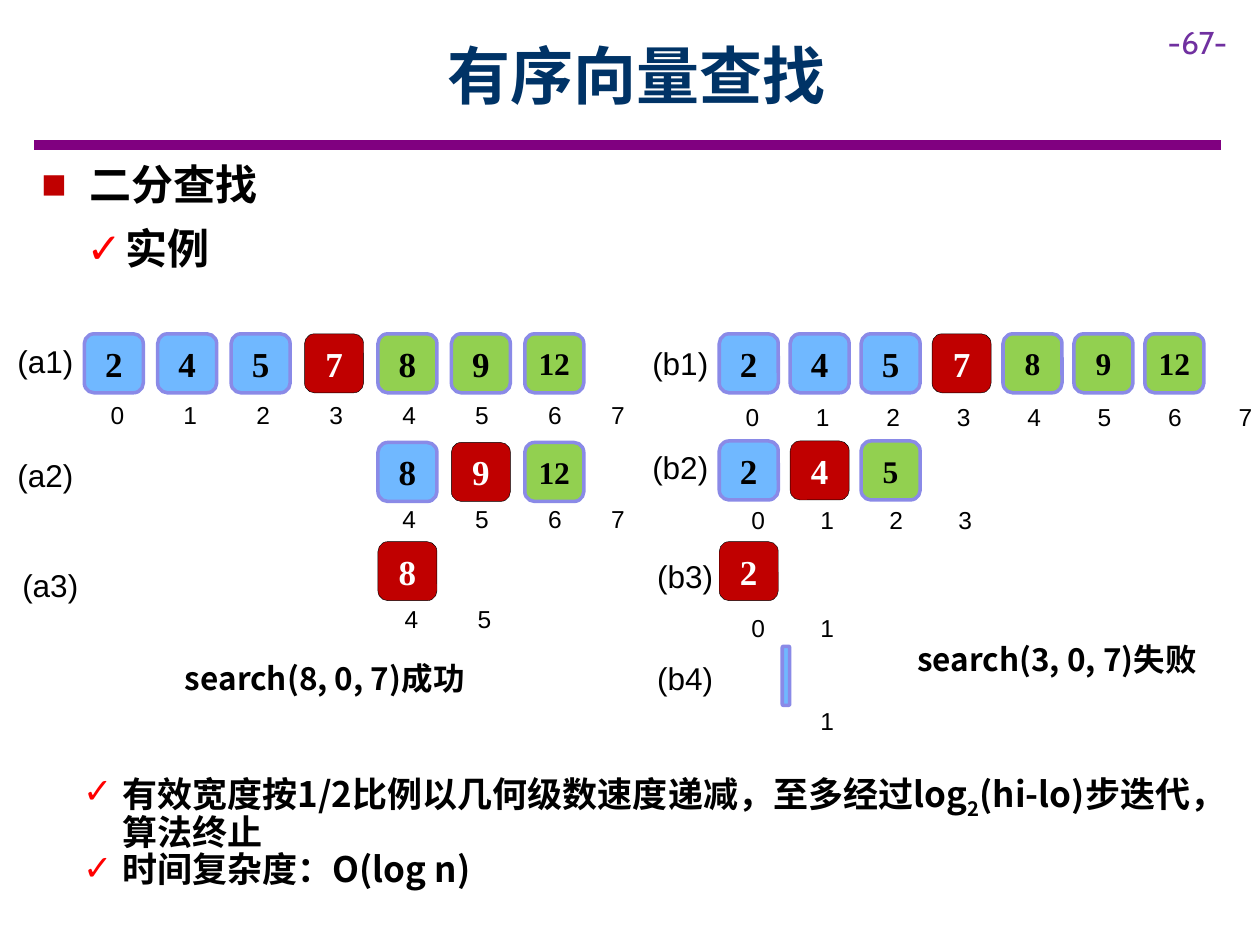
import pptx
import pptx.dml.color
import pptx.enum.shapes
import pptx.enum.text
import pptx.oxml.ns
import pptx.util
from lxml import etree
from pptx.util import Cm

CJK, SERIF, SANS = "Noto Sans CJK SC", "Times New Roman", "Arial"
BLACK, WHITE, RED, BLUE, GREEN = "000000", "FFFFFF", "C00000", "70B8FF", "92D050"
EDGE, TICK = "8A8AE7", "FF0000"
CELL = 1.19
TOP, MIDDLE = pptx.enum.text.MSO_ANCHOR.TOP, pptx.enum.text.MSO_ANCHOR.MIDDLE
CENTER = pptx.enum.text.PP_ALIGN.CENTER


def colour(value):
    """Turn a hex string into a colour."""
    return pptx.dml.color.RGBColor.from_string(value)


def place(shape, box):
    """Move a shape to a (left, top, width, height) box in centimetres."""
    shape.left, shape.top, shape.width, shape.height = (Cm(length) for length in box)


def style(para, font, size, tint, bold=False):
    """Format every run of a paragraph."""
    for span in para.runs:
        span.font.name, span.font.size = font, pptx.util.Pt(size)
        span.font.bold, span.font.color.rgb = bold, colour(tint)
        east = etree.SubElement(span.font._element, pptx.oxml.ns.qn("a:ea"))
        east.set("typeface", font)
        span.font._element.find(pptx.oxml.ns.qn("a:latin")).addnext(east)


def add_text(page, box, text, font, size, tint=BLACK, bold=False):
    """Add a one-paragraph text box."""
    frame = page.shapes.add_textbox(*(Cm(length) for length in box)).text_frame
    frame.word_wrap = True
    frame.text = text
    style(frame.paragraphs[0], font, size, tint, bold)
    return frame


def add_block(page, box, fill, edge=EDGE, weight=2):
    """Add a rounded block."""
    block = page.shapes.add_shape(
        pptx.enum.shapes.MSO_SHAPE.ROUNDED_RECTANGLE, *(Cm(length) for length in box))
    block.shadow.inherit = False
    block.fill.solid()
    block.fill.fore_color.rgb = colour(fill)
    block.line.color.rgb = colour(edge)
    block.line.width = pptx.util.Pt(weight)
    return block


def set_bullet(para, mark, tint, margin, hang):
    """Give a paragraph a coloured bullet and a hanging indent."""
    props = para._p.get_or_add_pPr()
    props.set("marL", str(Cm(margin)))
    props.set("indent", str(-Cm(hang)))
    shade = etree.SubElement(props, pptx.oxml.ns.qn("a:buClr"))
    etree.SubElement(shade, pptx.oxml.ns.qn("a:srgbClr")).set("val", tint)
    etree.SubElement(props, pptx.oxml.ns.qn("a:buFont")).set("typeface", SANS)
    etree.SubElement(props, pptx.oxml.ns.qn("a:buChar")).set("char", mark)


def fill_header(page, box):
    """Place the title, the page number and the rule under them."""
    left, top, width, height = box
    title = page.shapes.title
    place(title, (left + 1.6, top, 21.1, 2.54))
    title.text_frame.text = "有序向量查找"
    title.text_frame.vertical_anchor = MIDDLE
    title.text_frame.paragraphs[0].alignment = CENTER
    style(title.text_frame.paragraphs[0], CJK, 36, "003366", True)
    add_text(page, (left + 22.6, top + 0.1, 2.1, 1.02), "-67-", "Cabin", 18, "7030A0")
    rule = page.shapes.add_connector(
        pptx.enum.shapes.MSO_CONNECTOR.STRAIGHT,
        Cm(left), Cm(top + height), Cm(left + width), Cm(top + height))
    rule.line.color.rgb = colour("800080")
    rule.line.width = pptx.util.Pt(6)
    etree.SubElement(rule._element.spPr, pptx.oxml.ns.qn("a:effectLst"))


def fill_list(body, box, size, gap, items):
    """Fill a body placeholder with (spans, mark, tint, margin, hang) items."""
    place(body, box)
    frame = body.text_frame
    frame.word_wrap, frame.vertical_anchor = True, TOP
    frame.auto_size = pptx.enum.text.MSO_AUTO_SIZE.NONE
    for number, (spans, *bullet) in enumerate(items):
        para = frame.add_paragraph() if number else frame.paragraphs[0]
        para.line_spacing = 0.88
        para.space_before, para.space_after = pptx.util.Pt(0), pptx.util.Pt(gap)
        set_bullet(para, *bullet)
        for text in spans:
            para.add_run().text = text
        style(para, CJK, size, BLACK, True)


def add_cells(page, left, top, pitch, values, after_size):
    """Draw a range of the vector, with its middle element in red."""
    middle = len(values) // 2
    for number, value in enumerate(values):
        box = (left + number * pitch, top, CELL, CELL)
        size, tint = 20, BLACK
        if number == middle:
            block, tint = add_block(page, box, RED, BLACK, 0.25), WHITE
        elif number < middle:
            block = add_block(page, box, BLUE)
        else:
            block = add_block(page, box, GREEN)
            size = 18 if value > 9 else after_size
        frame = block.text_frame
        frame.margin_left = frame.margin_right = frame.margin_top = frame.margin_bottom = 0
        frame.vertical_anchor = MIDDLE
        frame.text = str(value)
        frame.paragraphs[0].alignment = CENTER
        style(frame.paragraphs[0], SERIF, size, tint, True)


def fill_trace(page, box, pitch, after_size, end_shift, rows):
    """Draw the steps of one search: label, cells and indices on each row."""
    left, top = box[:2]
    for name, label, first, values, cells, indices, start, step, index_top in rows:
        label_left, label_top = label
        add_text(page, (left + label_left, top + label_top, 1.75, 1.02), name, SANS, 18)
        add_cells(page, left + 1.6 + first * pitch, top + cells, pitch, values, after_size)
        for index in indices:
            shift = end_shift if index == 7 else 0
            add_text(page, (left + start + index * step + shift, top + index_top, 1, 0.86),
                     str(index), SANS, 14)


def main():
    """Build the slide and save it."""
    deck = pptx.Presentation()
    deck.slide_width, deck.slide_height = Cm(25.4), Cm(19.05)
    page = deck.slides.add_slide(deck.slide_layouts[3])
    fill_header(page, (0.69, 0.23, 23.92, 2.69))
    fill_list(page.placeholders[1], (0.58, 3.2, 8, 2.9), 24, 11.5, [
        (["二分查找"], "■", RED, 0.97, 0.97),
        (["实例"], "✓", TICK, 1.7, 0.79)])

    values = (2, 4, 5, 7, 8, 9, 12)
    fill_trace(page, (0.1, 6.73, 12, 8.2), 1.48, 20, -0.2, [
        ("(a1)", (0, 0.05), 0, values, 0, range(8), 1.88, 1.47, 1.2),
        ("(a2)", (0, 2.34), 4, values[4:], 2.19, range(4, 8), 1.88, 1.47, 3.3),
        ("(a3)", (0.1, 4.55), 4, values[4:5], 4.19, range(4, 6), 1.93, 1.47, 5.32)])
    fill_trace(page, (12.9, 6.73, 12, 8.2), 1.43, 18, 0, [
        ("(b1)", (0, 0.08), 0, values, 0, range(8), 1.88, 1.42, 1.25),
        ("(b2)", (0, 2.18), 0, values[:3], 2.16, range(4), 2, 1.39, 3.32),
        ("(b3)", (0.1, 4.37), 0, values[:1], 4.19, range(2), 2, 1.39, 5.51),
        ("(b4)", (0.1, 6.43), 0, (), 0, (1,), 2, 1.39, 7.37)])
    add_block(page, (15.77, 13.03, 0.15, CELL), BLUE)
    add_text(page, (3.48, 13.16, 7, 1.02), "search(8, 0, 7)成功", CJK, 18, bold=True)
    add_text(page, (18.24, 12.78, 7, 1.02), "search(3, 0, 7)失败", CJK, 18, bold=True)

    closing = page.placeholders[2]
    fill_list(closing, (1.42, 15.47, 22.86, 2.82), 20, 0, [
        (["有效宽度按1/2比例以几何级数速度递减，至多经过log", "2", "(hi-lo)步迭代，算法终止"],
         "✓", TICK, 0.79, 0.79),
        (["时间复杂度：O(log n)"], "✓", TICK, 0.79, 0.79)])
    closing.text_frame.paragraphs[0].runs[1].font._element.set("baseline", "-25000")
    deck.save("out.pptx")


if __name__ == "__main__":
    main()
